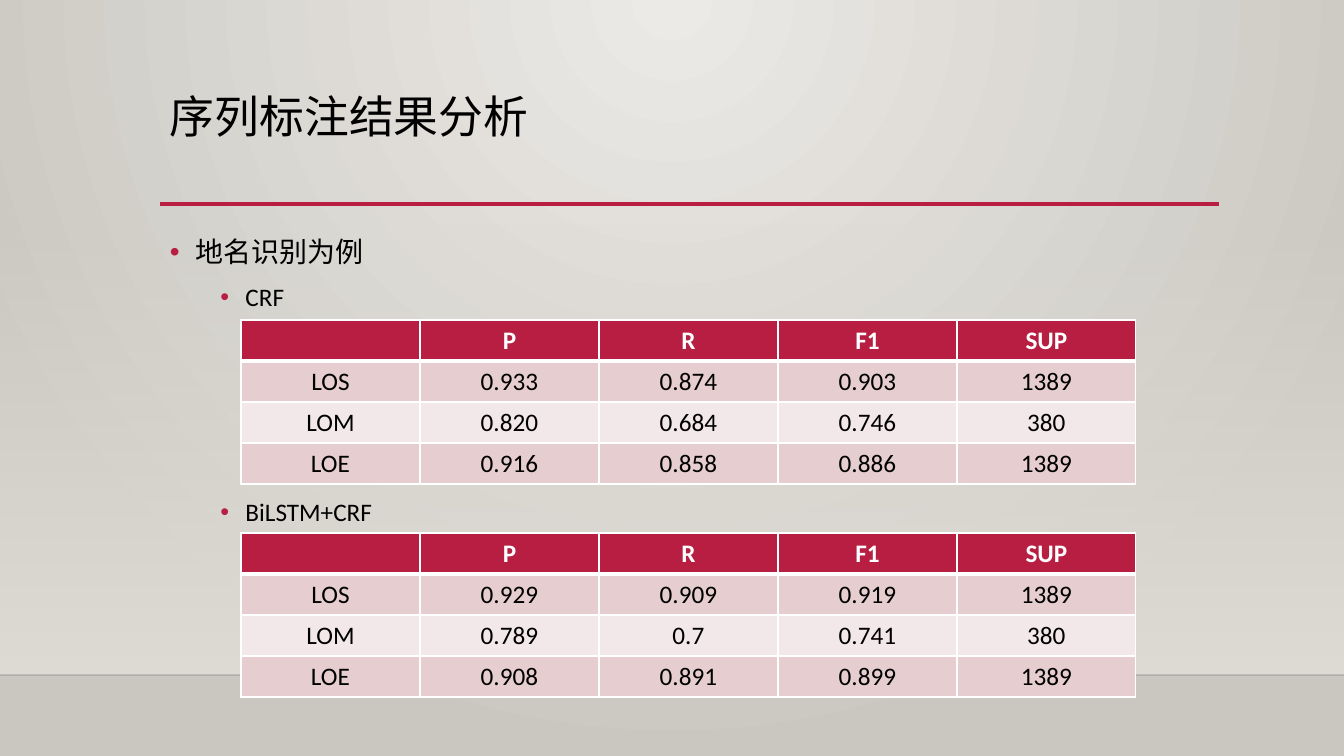
"""Build a slide that compares two sequence labelling models in tables."""
from pptx import Presentation, oxml
from pptx import util as u
from pptx.dml.color import RGBColor
from pptx.enum import shapes, text
from pptx.oxml.ns import nsdecls

PX = 914400 / 100.8
WIDTH, HEIGHT = 1344, 756
COLORS = {
    "accent": "B71E42", "ink": "000000", "white": "FFFFFF",
    "band": "E6CDCF", "pale": "F3E8E9", "floor": "DFDBD5",
    "glow": "ECEAE7", "edge": "CAC7C1", "horizon": "000001",
}
HEADER = ["", "P", "R", "F1", "SUP"]
CRF_ROWS = [
    ["LOS", "0.933", "0.874", "0.903", "1389"],
    ["LOM", "0.820", "0.684", "0.746", "380"],
    ["LOE", "0.916", "0.858", "0.886", "1389"],
]
BILSTM_ROWS = [
    ["LOS", "0.929", "0.909", "0.919", "1389"],
    ["LOM", "0.789", "0.7", "0.741", "380"],
    ["LOE", "0.908", "0.891", "0.899", "1389"],
]


def px(*lengths):
    return [u.Emu(round(length * PX)) for length in lengths]


def rgb(name):
    return RGBColor.from_string(COLORS[name])


def element(tag, attributes="", content=""):
    return oxml.parse_xml(
        f'<a:{tag} {nsdecls("a")} {attributes}>{content}</a:{tag}>')


def color_xml(name, alpha=100):
    return (f'<a:srgbClr val="{COLORS[name]}">'
            f'<a:alpha val="{alpha * 1000}"/></a:srgbClr>')


def write(paragraph, content, size=18, color="ink", bold=False,
          align=text.PP_ALIGN.LEFT, spacing=1.0, before=0):
    paragraph.alignment = align
    paragraph.line_spacing = spacing
    paragraph.space_before = u.Pt(before)
    run = paragraph.add_run()
    run.text = content
    run.font.name = "Calibri"
    run.font.size = u.Pt(size)
    run.font.bold = bold
    run.font.color.rgb = rgb(color)


class SlideBuilder:
    """Hold the style and the current slide."""

    def __init__(self, presentation):
        self.slide = presentation.slides.add_slide(presentation.slide_layouts[6])

    def gradient(self, solid, stops, direction):
        stop_xml = "".join(
            f'<a:gs pos="{position * 1000}">{color_xml(name, alpha)}</a:gs>'
            for position, name, alpha in stops)
        fill = element("gradFill", 'rotWithShape="1"',
                       f"<a:gsLst>{stop_xml}</a:gsLst>{direction}")
        solid.getparent().replace(solid, fill)

    def background(self):
        self.slide.background.fill.solid()
        solid = self.slide.element.xpath(".//p:bgPr/a:solidFill")[0]
        self.gradient(
            solid, [(0, "glow", 100), (100, "edge", 100)],
            '<a:path path="circle"><a:fillToRect l="43000" t="0" '
            'r="43000" b="100000"/></a:path>')

    def fade(self, left, top, width, height):
        shape = self.slide.shapes.add_shape(
            shapes.MSO_SHAPE.RECTANGLE, *px(left, top, width, height))
        shape.shadow.inherit = False
        shape.line.fill.background()
        shape.fill.solid()
        solid = shape.element.xpath("./p:spPr/a:solidFill")[0]
        self.gradient(solid, [(0, "floor", 0), (100, "floor", 100)],
                      '<a:lin ang="5400000" scaled="0"/>')

    def rule(self, left, right, y, color, weight, alpha=100):
        line = self.slide.shapes.add_connector(
            shapes.MSO_CONNECTOR.STRAIGHT, *px(left, y, right, y))
        line.line.width = u.Pt(weight)
        line.line.color.rgb = rgb(color)
        line.element.xpath(".//a:ln//a:srgbClr")[0].append(
            element("alpha", f'val="{alpha * 1000}"'))
        line.element.spPr.append(element("effectLst"))

    def text_box(self, left, top, width, height):
        frame = self.slide.shapes.add_textbox(
            *px(left, top, width, height)).text_frame
        frame.word_wrap = True
        return frame

    def title(self, content, *box):
        write(self.text_box(*box).paragraphs[0], content, size=32, spacing=0.9)

    def bullets(self, items, *box):
        frame = self.text_box(*box)
        for index, (content, level, size, before) in enumerate(items):
            paragraph = frame.add_paragraph() if index else frame.paragraphs[0]
            paragraph.level = level
            write(paragraph, content, size=size, spacing=1.2, before=before)
            properties = paragraph._p.get_or_add_pPr()
            properties.set("marL", str(u.Inches(0.25 + 0.5 * level)))
            properties.set("indent", str(u.Inches(-0.25)))
            properties.append(element("buClr", content=color_xml("accent")))
            properties.append(element("buFont", 'typeface="Arial"'))
            properties.append(element("buChar", 'char="•"'))

    def borders(self, cell, top, bottom):
        properties = cell._tc.get_or_add_tcPr()
        for side, weight in zip("LRTB", (1, 1, top, bottom)):
            properties.append(element(
                f"ln{side}", f'w="{u.Pt(weight)}"',
                f'<a:solidFill>{color_xml("white")}</a:solidFill>'))

    def table(self, rows, left, top, column=179, row_height=41):
        rows = [HEADER] + rows
        table = self.slide.shapes.add_table(
            len(rows), len(HEADER),
            *px(left, top, column * len(HEADER), row_height * len(rows))).table
        table.horz_banding = False
        for r, values in enumerate(rows):
            table.rows[r].height = px(row_height)[0]
            header = r == 0
            fill = "accent" if header else ("pale", "band")[r % 2]
            for c, value in enumerate(values):
                cell = table.cell(r, c)
                self.borders(cell, 3 if r == 1 else 1, 3 if header else 1)
                cell.fill.solid()
                cell.fill.fore_color.rgb = rgb(fill)
                if value:
                    write(cell.text_frame.paragraphs[0], value, bold=header,
                          color="white" if header else "ink",
                          align=text.PP_ALIGN.CENTER)


def main():
    presentation = Presentation()
    presentation.slide_width, presentation.slide_height = px(WIDTH, HEIGHT)
    builder = SlideBuilder(presentation)
    builder.background()
    builder.fade(0, 223, WIDTH, 452)
    builder.rule(0, WIDTH, 675, "horizon", 1, alpha=20)
    builder.rule(160, 1219, 204, "accent", 2.5)
    builder.title("序列标注结果分析", 160, 90, 1058, 116)
    builder.bullets(
        [("地名识别为例", 0, 20, 10), ("CRF", 1, 18, 5),
         ("BiLSTM+CRF", 1, 18, 128)],
        160, 223, 1058, 457)
    builder.table(CRF_ROWS, 241, 320)
    builder.table(BILSTM_ROWS, 241, 533)
    presentation.save("out.pptx")


if __name__ == "__main__":
    main()
